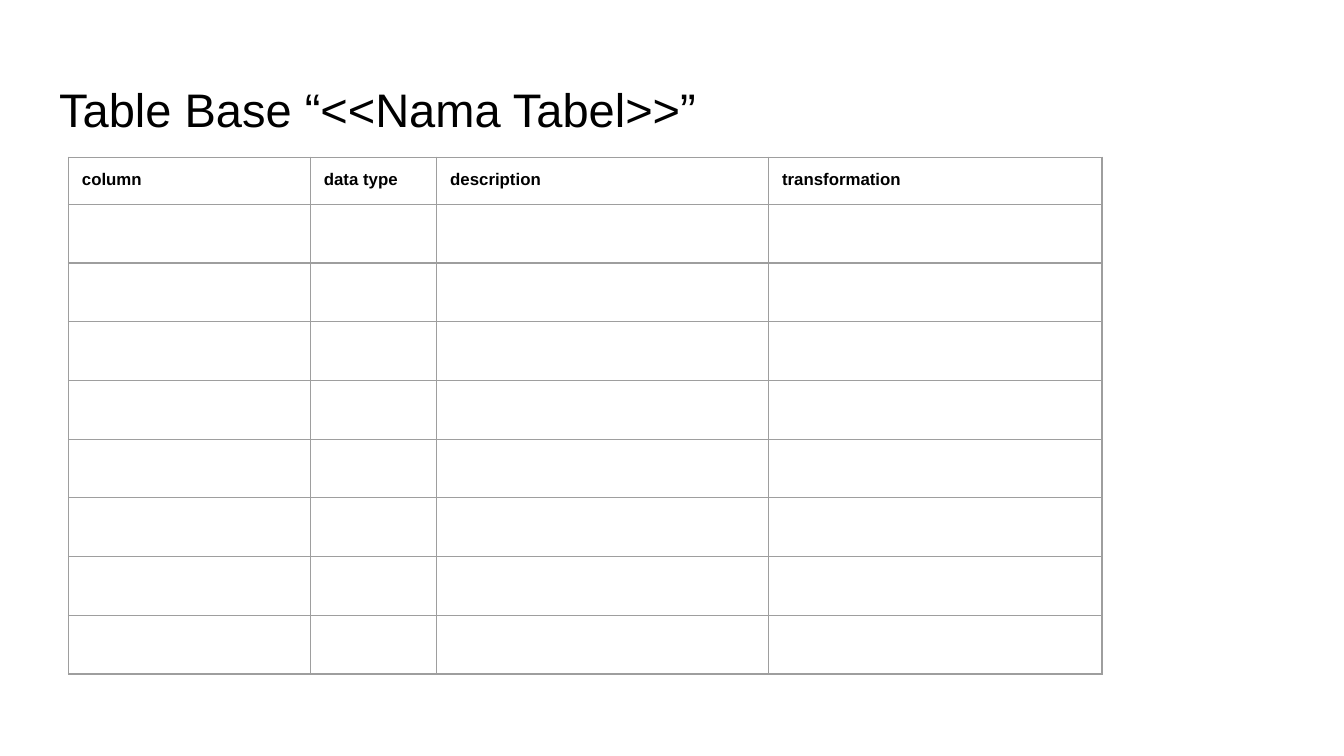
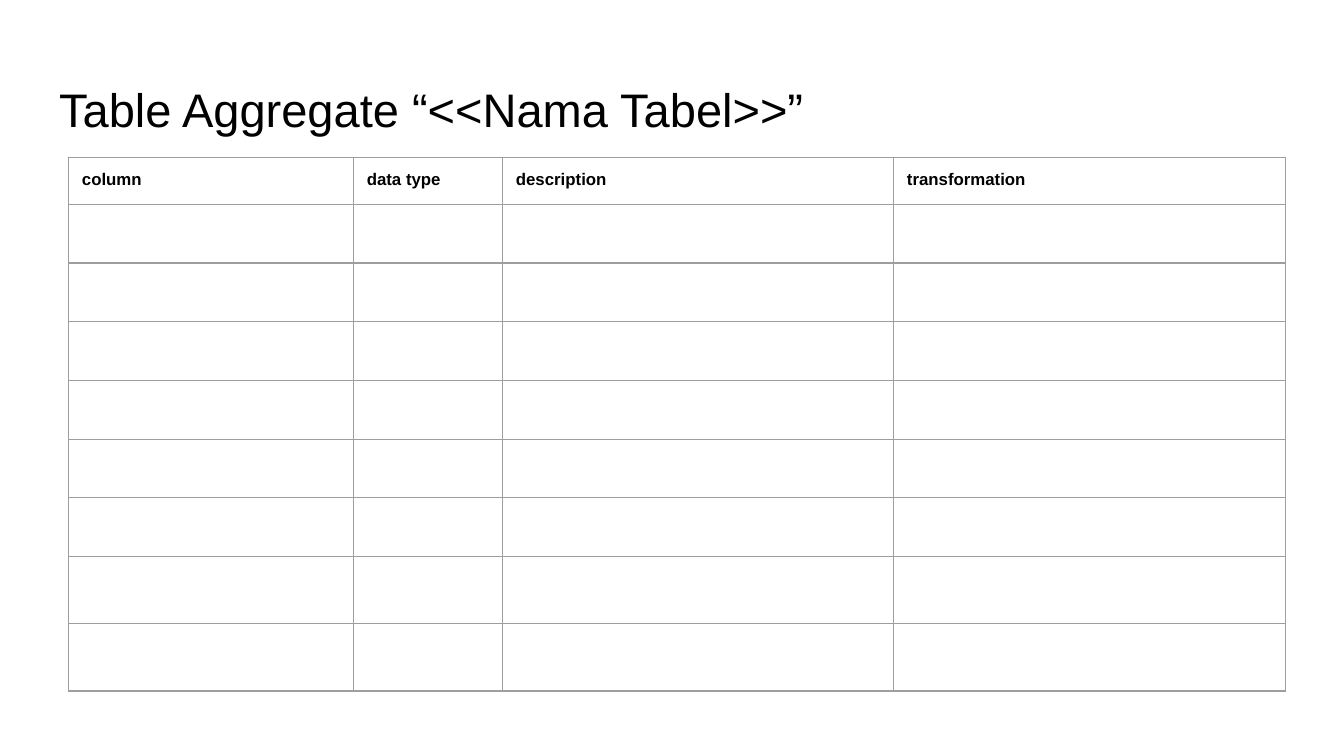
from lxml import etree
from pptx import Presentation
from pptx.dml.color import RGBColor
from pptx.enum import text
from pptx.oxml import ns
from pptx.util import Pt

THEME = {
    "title": {"name": "Arial", "size": Pt(25.2), "bold": False, "color": "000000"},
    "header": {"name": "Arial", "size": Pt(9), "bold": True, "color": "000000"},
    "empty_size": 14,
    "border": "9E9E9E",
    "border_width": Pt(0.75),
    "inset": Pt(7.2),
}
HEADERS = ["column", "data type", "description", "transformation"]
ROW = 25.2
SLIDES = [
    {"title": "Table Base “<<Nama Tabel>>”",
     "cols": [129.6, 67.7, 177.8, 178.6], "rows": [ROW] * 9},
    {"title": "Table Aggregate “<<Nama Tabel>>”",
     "cols": [152.6, 79.9, 209.5, 210.2], "rows": [ROW] * 7 + [36] * 2},
]


def write(tf, words, style):
    """Put one formatted run in a text frame."""
    p = tf.paragraphs[0]
    p.alignment = text.PP_ALIGN.LEFT
    r = p.add_run()
    r.text = words
    for key, value in style.items():
        if key == "color":
            r.font.color.rgb = RGBColor.from_string(value)
        else:
            setattr(r.font, key, value)


def add_borders(cell):
    """Draw the four cell borders, then leave the cell unfilled."""
    tc_pr = cell._tc.get_or_add_tcPr()
    for side in ("lnL", "lnR", "lnT", "lnB"):
        ln = etree.SubElement(tc_pr, ns.qn("a:" + side), w=str(THEME["border_width"]))
        fill = etree.SubElement(ln, ns.qn("a:solidFill"))
        etree.SubElement(fill, ns.qn("a:srgbClr"), val=THEME["border"])
    cell.fill.background()


prs = Presentation()
prs.slide_width, prs.slide_height = Pt(720), Pt(405)
margins = {f"margin_{side}": THEME["inset"] for side in ("left", "right", "top", "bottom")}

for page in SLIDES:
    s = prs.slides.add_slide(prs.slide_layouts[5])

    # Title
    sp = s.shapes.title
    sp.left, sp.top, sp.width, sp.height = Pt(24.5), Pt(35.3), Pt(671), Pt(45.4)
    tf = sp.text_frame
    frame = {**margins, "word_wrap": True, "auto_size": text.MSO_AUTO_SIZE.NONE,
             "vertical_anchor": text.MSO_ANCHOR.BOTTOM}
    for key, value in frame.items():
        setattr(tf, key, value)
    write(tf, page["title"], THEME["title"])

    # Table grid
    cols, rows = page["cols"], page["rows"]
    tbl = s.shapes.add_table(len(rows), len(cols), Pt(36.7), Pt(84.2),
                             Pt(sum(cols)), Pt(sum(rows))).table
    tbl.first_row = tbl.horz_banding = False
    for col, width in zip(tbl.columns, cols):
        col.width = Pt(width)
    for row, height in zip(tbl.rows, rows):
        row.height = Pt(height)

    # Header texts and blank cells
    for i, row in enumerate(tbl.rows):
        for cell, header in zip(row.cells, HEADERS):
            for key, value in margins.items():
                setattr(cell, key, value)
            add_borders(cell)
            if i == 0:
                write(cell.text_frame, header, THEME["header"])
            else:
                p = cell.text_frame.paragraphs[0]
                etree.SubElement(p._p, ns.qn("a:endParaRPr"),
                                 sz=str(THEME["empty_size"] * 100))

prs.save("out.pptx")
